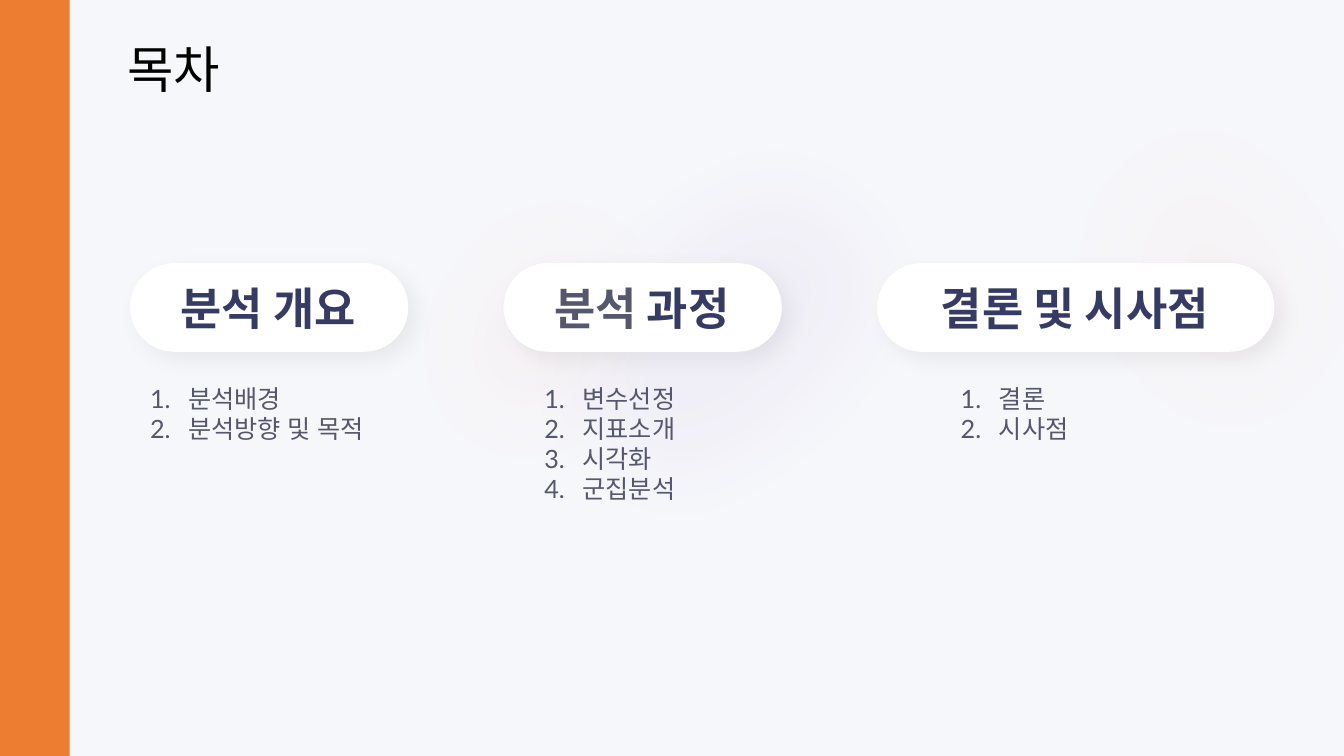
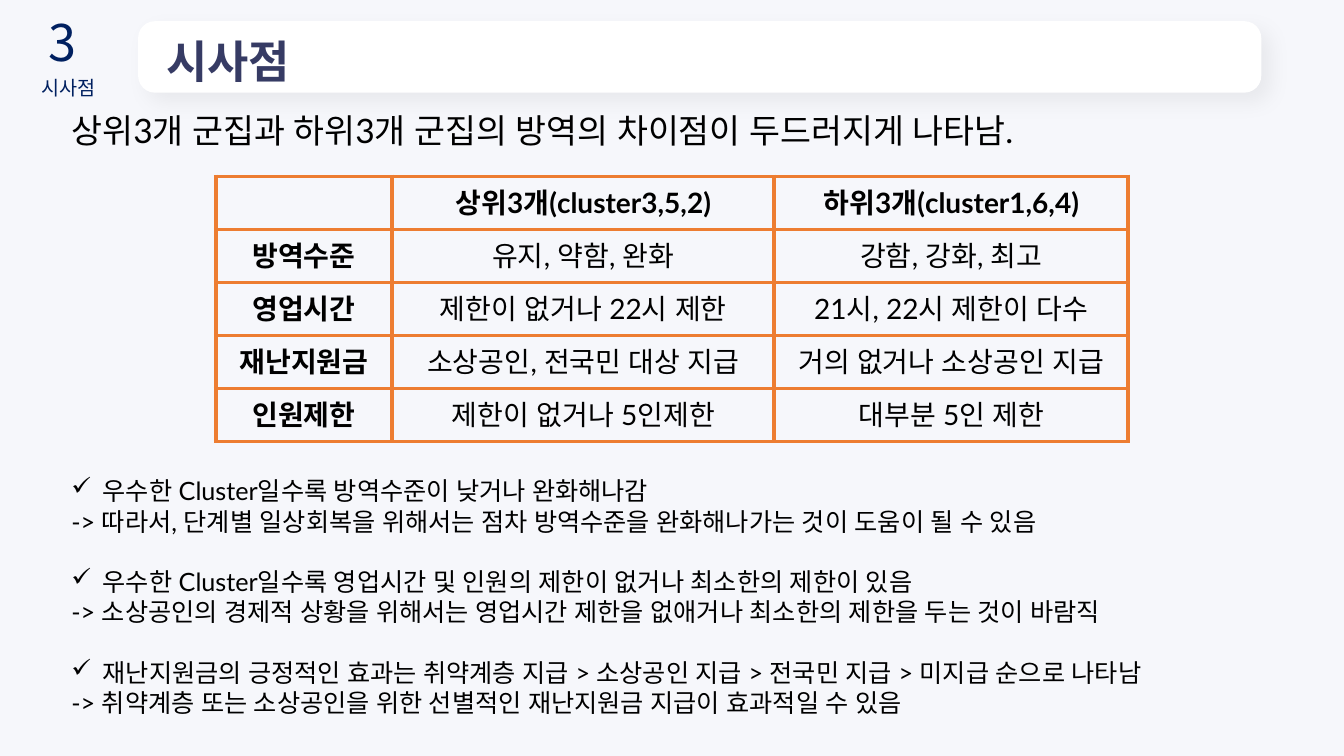
import pptx
import pptx.util
import pptx.dml.color
import pptx.enum.shapes
import pptx.enum.text
import pptx.oxml
import pptx.oxml.ns

Inches, Pt = pptx.util.Inches, pptx.util.Pt
RGBColor = pptx.dml.color.RGBColor
MSO_SHAPE = pptx.enum.shapes.MSO_SHAPE
PP_ALIGN = pptx.enum.text.PP_ALIGN
MSO_ANCHOR = pptx.enum.text.MSO_ANCHOR
qn = pptx.oxml.ns.qn
SubElement = pptx.oxml.ns.nsdecls("a")

BACKGROUND = RGBColor(0xF6, 0xF7, 0xFB)
WHITE = RGBColor(0xFF, 0xFF, 0xFF)
BLACK = RGBColor(0x00, 0x00, 0x00)
ORANGE = RGBColor(0xED, 0x7D, 0x31)
INDIGO = RGBColor(0x36, 0x3B, 0x64)
SLATE = RGBColor(0x55, 0x57, 0x6C)
NAVY = RGBColor(0x00, 0x20, 0x60)
PURPLE = RGBColor(0x70, 0x30, 0xA0)
CORAL = RGBColor(0xFD, 0x93, 0x74)
PEACH = RGBColor(0xFC, 0x99, 0x74)
BODY_FONT = "Lato"
HEADING_FONT = "Noto Sans CJK KR"
XMLNS = pptx.oxml.ns.nsdecls("a")


def style_text(frame, size, color, font=BODY_FONT, bold=False, align=PP_ALIGN.LEFT):
    """Give every paragraph and run of a text frame the same look."""
    frame.word_wrap = True
    for para in frame.paragraphs:
        para.alignment = align
        para.line_spacing = 1.0
        for span in para.runs:
            span.font.size = Pt(size)
            span.font.bold = bold
            span.font.color.rgb = color
            span.font.name = font
            span._r.get_or_add_rPr().find(qn("a:latin")).addnext(
                pptx.oxml.parse_xml(f'<a:ea {XMLNS} typeface="{font}"/>'))


def add_card(page, left, top, width, height, rounding):
    """Add a white rounded card with a faint soft shadow."""
    card = page.shapes.add_shape(MSO_SHAPE.ROUNDED_RECTANGLE, Inches(left),
                                 Inches(top), Inches(width), Inches(height))
    card.adjustments[0] = rounding
    card.fill.solid()
    card.fill.fore_color.rgb = WHITE
    card.line.fill.background()
    card.shadow.inherit = False
    card._element.spPr.find(qn("a:effectLst")).append(pptx.oxml.parse_xml(
        f'<a:outerShdw {XMLNS} blurRad="{Pt(15)}" dist="{Pt(8)}" dir="2700000" '
        'algn="tl" rotWithShape="0"><a:srgbClr val="000000">'
        '<a:alpha val="5000"/></a:srgbClr></a:outerShdw>'))
    return card


# Deck with a shared background
deck = pptx.Presentation()
deck.slide_width, deck.slide_height = Inches(13.33), Inches(7.5)
deck.slide_master.background.fill.solid()
deck.slide_master.background.fill.fore_color.rgb = BACKGROUND
title_only = deck.slide_layouts[5]

# Slide 1: contents
page = deck.slides.add_slide(title_only)

# Soft colour glows
glows = [
    (4.96, 0.49, 4.5, 5.63, 51, PURPLE, 4),
    (3.63, 1.18, 3.49, 4.17, 22.1, CORAL, 7),
    (10.05, 0.44, 3.99, 4.64, 339.8, PEACH, 4),
]
for left, top, width, height, angle, color, opacity in glows:
    glow = page.shapes.add_shape(MSO_SHAPE.OVAL, Inches(left), Inches(top),
                                 Inches(width), Inches(height))
    glow.rotation = angle
    glow.fill.solid()
    glow.fill.fore_color.rgb = color
    glow.line.fill.background()
    glow.shadow.inherit = False
    properties = glow._element.spPr
    properties.find(qn("a:solidFill")).find(qn("a:srgbClr")).append(
        pptx.oxml.parse_xml(f'<a:alpha {XMLNS} val="{opacity * 1000}"/>'))
    properties.find(qn("a:effectLst")).append(
        pptx.oxml.parse_xml(f'<a:softEdge {XMLNS} rad="{Inches(0.9)}"/>'))

# Side band
band = page.shapes.add_shape(MSO_SHAPE.RECTANGLE, 0, 0, Inches(0.69), deck.slide_height)
band.fill.solid()
band.fill.fore_color.rgb = ORANGE
band.line.fill.background()
band.shadow.inherit = False

# Title
title = page.shapes.title
title.left, title.top, title.width, title.height = (
    Inches(1.16), Inches(0.33), Inches(1.24), Inches(0.71))
title.text_frame.text = "목차"
title.text_frame.vertical_anchor = MSO_ANCHOR.TOP
style_text(title.text_frame, 36, BLACK)

# Chapters: heading parts, card width, list left, list width, items
chapters = [
    (["분석 개요"], 2.76, 1.39, 2.48, ["분석배경", "분석방향 및 목적"]),
    (["분석", " 과정"], 2.76, 5.3, 3.07, ["변수선정", "지표소개", "시각화", "군집분석"]),
    (["결론 및 시사점"], 3.94, 9.43, 2.97, ["결론", "시사점"]),
]
for column, (parts, card_width, list_left, list_width, items) in enumerate(chapters):
    card = add_card(page, 1.29 + 3.705 * column, 2.61, card_width, 0.88, 0.5)
    frame = card.text_frame
    frame.margin_left = Inches(0.08)
    frame.vertical_anchor = MSO_ANCHOR.MIDDLE
    for part in parts:
        frame.paragraphs[0].add_run().text = part
    style_text(frame, 32, INDIGO, HEADING_FONT, True, PP_ALIGN.CENTER)
    if len(parts) > 1:
        frame.paragraphs[0].runs[0].font.color.rgb = SLATE

    box = page.shapes.add_textbox(Inches(list_left), Inches(3.75), Inches(list_width),
                                  Inches(0.1 + 0.3 * len(items)))
    box.text_frame.text = "\n".join(items)
    style_text(box.text_frame, 18, SLATE)
    for para in box.text_frame.paragraphs:
        layout = para._p.get_or_add_pPr()
        layout.set("marL", str(Inches(0.38)))
        layout.set("indent", str(-Inches(0.38)))
        layout.append(pptx.oxml.parse_xml(f'<a:buAutoNum {XMLNS} type="arabicPeriod"/>'))

# Slide 2: implications
page = deck.slides.add_slide(title_only)

# Title on a card
card = add_card(page, 1.37, 0.21, 11.14, 0.71, 0.237)
title = page.shapes.title
title.left, title.top, title.width, title.height = (
    card.left, card.top, card.width, card.height)
card._element.addnext(title._element)
frame = title.text_frame
frame.text = "시사점"
frame.margin_left = Inches(0.28)
frame.vertical_anchor = MSO_ANCHOR.BOTTOM
style_text(frame, 32, INDIGO, HEADING_FONT, True)
frame.paragraphs[0].line_spacing = 1.5

# Chapter number, chapter name and key message
captions = [
    ("3", 0.11, 0.06, 1.03, 0.71, 36, NAVY, HEADING_FONT, PP_ALIGN.CENTER),
    ("시사점", 0.11, 0.7, 1.14, 0.34, 14, NAVY, HEADING_FONT, PP_ALIGN.CENTER),
    ("상위3개 군집과 하위3개 군집의 방역의 차이점이 두드러지게 나타남.",
     0.61, 1.04, 12.09, 0.5, 24, BLACK, BODY_FONT, PP_ALIGN.LEFT),
]
for text, left, top, width, height, size, color, font, align in captions:
    box = page.shapes.add_textbox(Inches(left), Inches(top), Inches(width), Inches(height))
    box.text_frame.text = text
    style_text(box.text_frame, size, color, font, align=align)

# Comparison table
rows = [
    ["", "상위3개(cluster3,5,2)", "하위3개(cluster1,6,4)"],
    ["방역수준", "유지, 약함, 완화", "강함, 강화, 최고"],
    ["영업시간", "제한이 없거나 22시 제한", "21시, 22시 제한이 다수"],
    ["재난지원금", "소상공인, 전국민 대상 지급", "거의 없거나 소상공인 지급"],
    ["인원제한", "제한이 없거나 5인제한", "대부분 5인 제한"],
]
table = page.shapes.add_table(len(rows), 3, Inches(2.14), Inches(1.75),
                              Inches(9.05), Inches(2.63)).table
table.first_row = False
table.horz_banding = False
for column, width in zip(table.columns, (1.75, 3.79, 3.51)):
    column.width = Inches(width)
for row_index, row in enumerate(rows):
    for column_index, text in enumerate(row):
        cell = table.cell(row_index, column_index)
        cell.text_frame.text = text
        cell.vertical_anchor = MSO_ANCHOR.MIDDLE
        cell.fill.background()
        style_text(cell.text_frame, 20, BLACK, bold=row_index == 0 or column_index == 0,
                   align=PP_ALIGN.CENTER)
        for position, side in enumerate(("lnL", "lnR", "lnT", "lnB")):
            cell._tc.get_or_add_tcPr().insert(position, pptx.oxml.parse_xml(
                f'<a:{side} {XMLNS} w="{Pt(3)}"><a:solidFill>'
                f'<a:srgbClr val="{ORANGE}"/></a:solidFill></a:{side}>'))

# Findings, each followed by its conclusion
findings = [
    ("우수한 Cluster일수록 방역수준이 낮거나 완화해나감",
     "-> 따라서, 단계별 일상회복을 위해서는 점차 방역수준을 완화해나가는 것이 도움이 될 수 있음"),
    ("우수한 Cluster일수록 영업시간 및 인원의 제한이 없거나 최소한의 제한이 있음",
     "-> 소상공인의 경제적 상황을 위해서는 영업시간 제한을 없애거나 최소한의 제한을 두는 것이 바람직"),
    ("재난지원금의 긍정적인 효과는 취약계층 지급 > 소상공인 지급 > 전국민 지급 > 미지급 순으로 나타남",
     "-> 취약계층 또는 소상공인을 위한 선별적인 재난지원금 지급이 효과적일 수 있음"),
]
box = page.shapes.add_textbox(Inches(0.61), Inches(4.67), Inches(12.09), Inches(2.52))
box.text_frame.text = "\n".join(line for pair in findings for line in pair)
style_text(box.text_frame, 18, BLACK)
for index, para in enumerate(box.text_frame.paragraphs[::2]):
    para.space_before = Pt(21.6 if index else 0)
    layout = para._p.get_or_add_pPr()
    layout.set("marL", str(Inches(0.31)))
    layout.set("indent", str(-Inches(0.31)))
    layout.append(pptx.oxml.parse_xml(f'<a:buChar {XMLNS} char="✓"/>'))

deck.save("out.pptx")
